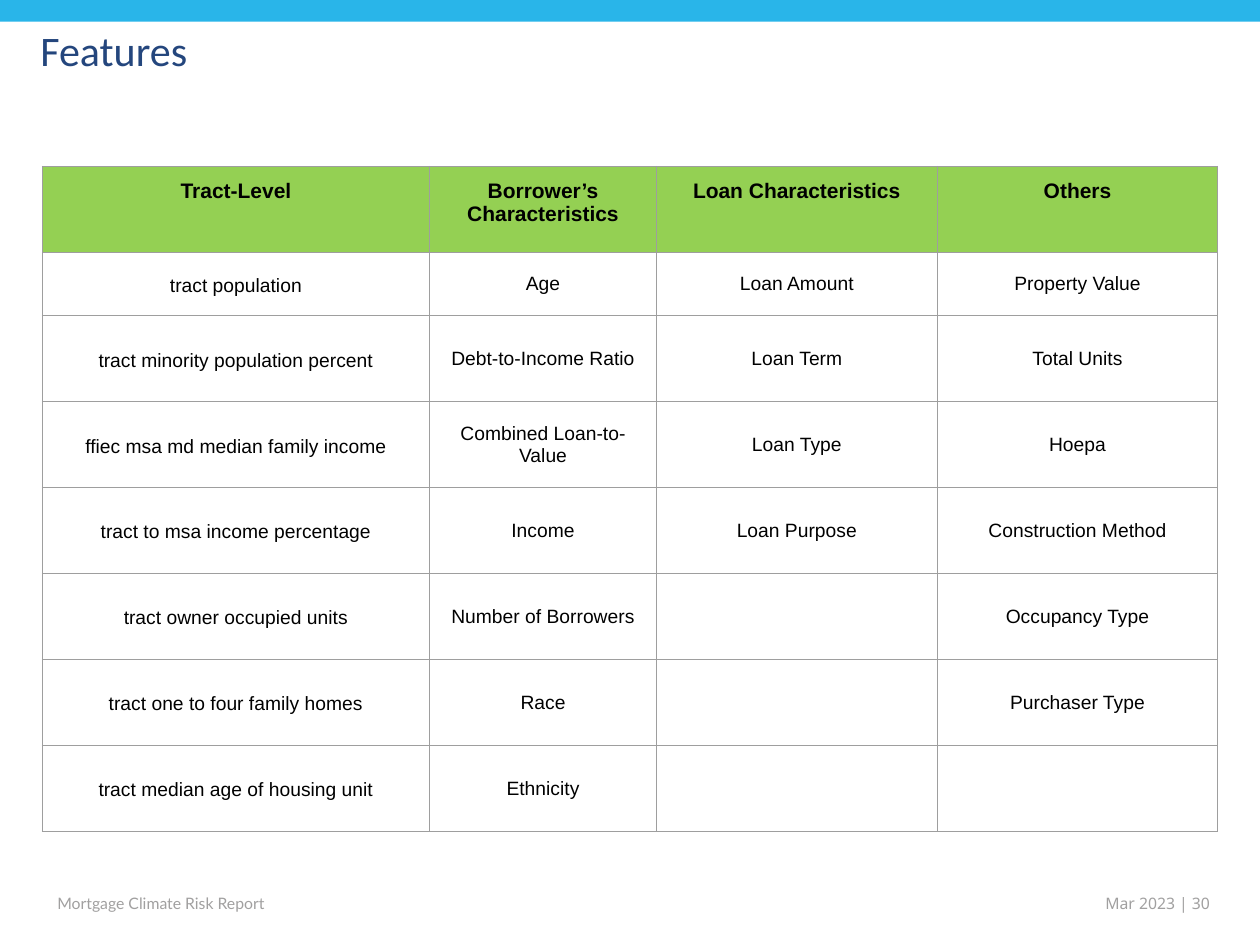
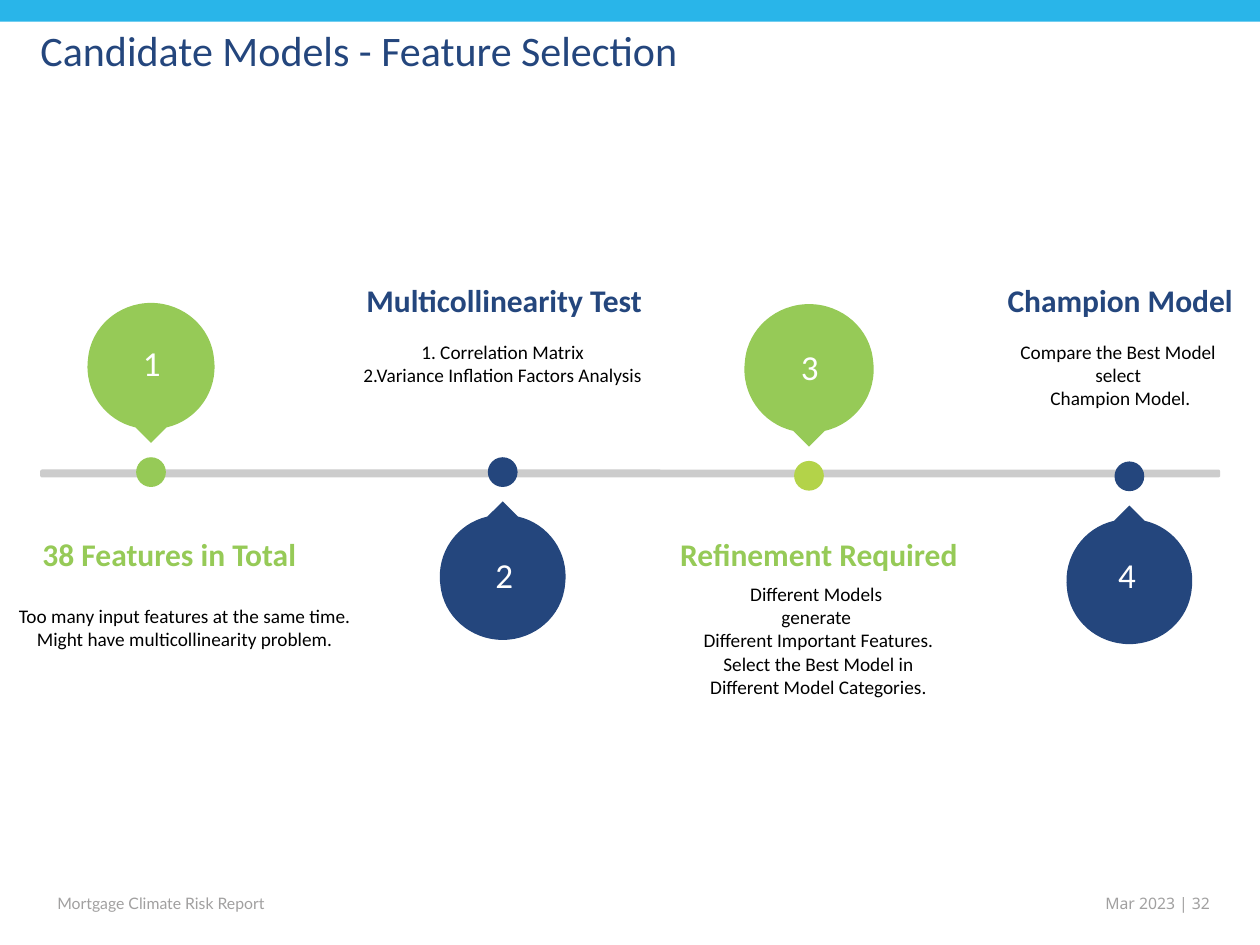
from dataclasses import dataclass

from lxml import etree
from pptx import Presentation
from pptx.dml.color import RGBColor
from pptx.enum.shapes import MSO_SHAPE
from pptx.enum.text import MSO_ANCHOR, PP_ALIGN
from pptx.oxml.ns import qn
from pptx.util import Pt

CENTER, LEFT = PP_ALIGN.CENTER, PP_ALIGN.LEFT
TOP, MIDDLE = MSO_ANCHOR.TOP, MSO_ANCHOR.MIDDLE
RECTANGLE, ROUNDED, ELLIPSE = MSO_SHAPE.RECTANGLE, MSO_SHAPE.ROUNDED_RECTANGLE, MSO_SHAPE.OVAL

SLIDE_WIDTH, SLIDE_HEIGHT = 720, 540
SKY, NAVY, GREEN, LIME = "29B5E9", "24467D", "96CA57", "B3D349"
HEADER_GREEN, GREY, RAIL_GREY, BORDER_GREY = "94D053", "A1A0A0", "CCCCCC", "9E9E9E"
BLACK, WHITE = "000000", "FFFFFF"
INSET = 7.2

FEATURE_COLUMNS = {
    "Tract-Level": [
        "tract population", "tract minority population percent",
        "ffiec msa md median family income", "tract to msa income percentage",
        "tract owner occupied units", "tract one to four family homes",
        "tract median age of housing unit"],
    "Borrower’s Characteristics": [
        "Age", "Debt-to-Income Ratio", "Combined Loan-to-Value", "Income",
        "Number of Borrowers", "Race", "Ethnicity"],
    "Loan Characteristics": ["Loan Amount", "Loan Term", "Loan Type", "Loan Purpose"],
    "Others": [
        "Property Value", "Total Units", "Hoepa", "Construction Method",
        "Occupancy Type", "Purchaser Type"],
}
COLUMN_WIDTHS = [221.3, 129.7, 160.4, 160.4]
ROW_HEIGHTS = [49.15, 36.2] + [49.15] * 6

# Right half of a pin, as x and distance from the tip, in shares of its height:
# the notch, then two Bezier curves of three points each.
PIN_HALF = [(0.11, 0.11), (0.33, 0.16), (0.48, 0.37), (0.45, 0.6),
            (0.43, 0.83), (0.23, 1), (0, 1)]


@dataclass
class Step:
    """One timeline step; the boxes are left, top, width, height."""
    x: float
    dot_y: float
    pin_is_above: bool
    pin_height: float
    number_box: tuple
    color: str
    dot_color: str
    heading: str
    heading_box: tuple
    details: list
    details_box: tuple


STEPS = [
    Step(86.3, 269.8, True, 80, (44.6, 188.6, 84.2, 37.4), GREEN, GREEN,
         "38 Features in Total", (5, 310, 183.6, 13),
         ["Too many input features at the same time.", "Might have multicollinearity problem."],
         (-8.2, 331.2, 227.5, 54.7)),
    Step(287.3, 269.8, False, 79.2, (249.2, 309.6, 77.8, 37.4), NAVY, NAVY,
         "Multicollinearity Test", (187.4, 164.9, 201.6, 13),
         ["1. Correlation Matrix", "2.Variance Inflation Factors Analysis"],
         (179.3, 185, 216, 45.4)),
    Step(462.3, 271.9, True, 81.4, (427, 190.8, 71.3, 37.4), GREEN, LIME,
         "Refinement Required", (367.2, 310, 201.6, 13),
         ["Different Models ", "generate ", "Different Important Features.",
          "Select the Best Model in Different Model Categories."],
         (387.8, 331, 159.8, 69.8)),
    Step(645.4, 272.2, False, 79.2, (608.4, 309.6, 71.3, 37.4), NAVY, NAVY,
         "Champion Model", (552.3, 164.9, 175.7, 13),
         ["Compare the Best Model ", "select ", "Champion Model."],
         (557.8, 191.5, 164.9, 45.4)),
]


def rgb(value):
    return RGBColor.from_string(value)


def paint(shape, color):
    shape.shadow.inherit = False
    shape.fill.solid()
    shape.fill.fore_color.rgb = rgb(color)
    shape.line.fill.background()


def add_filled_shape(slide, kind, box, color):
    shape = slide.shapes.add_shape(kind, *map(Pt, box))
    paint(shape, color)
    return shape


def set_insets(holder, left, top, right, bottom):
    holder.margin_left, holder.margin_top = Pt(left), Pt(top)
    holder.margin_right, holder.margin_bottom = Pt(right), Pt(bottom)


def format_text(text_frame, size, font_name, color, bold=False, alignment=CENTER):
    for paragraph in text_frame.paragraphs:
        paragraph.alignment = alignment
        for run in paragraph.runs:
            run.font.size, run.font.name, run.font.bold = Pt(size), font_name, bold
            run.font.color.rgb = rgb(color)


def add_text(slide, box, lines, size, font_name, color, bold=False,
             alignment=CENTER, anchor=MIDDLE, insets=(INSET,) * 4):
    text_frame = slide.shapes.add_textbox(*map(Pt, box)).text_frame
    text_frame.word_wrap = True
    text_frame.vertical_anchor = anchor
    set_insets(text_frame, *insets)
    text_frame.text = "\n".join(lines)
    format_text(text_frame, size, font_name, color, bold, alignment)


def add_frame(presentation, title, page_number):
    """Add a slide with the top band, title and footers."""
    slide = presentation.slides.add_slide(presentation.slide_layouts[6])
    add_filled_shape(slide, RECTANGLE, (0, 0, SLIDE_WIDTH, 12.4), SKY)
    flush = {"alignment": LEFT, "anchor": TOP, "insets": (0, 0.9, 0, 0)}
    add_text(slide, (23.1, 13, 597, 30), [title], 24, "Calibri", NAVY, **flush)
    flush["insets"] = (0.9, 0.9, 0, 0)
    add_text(slide, (31.9, 509.9, 139.7, 11.5), ["Mortgage Climate Risk Report"],
             9, "Lato", GREY, **flush)
    add_text(slide, (630.7, 509.9, 72.7, 11.5), [f"Mar 2023 | {page_number}"],
             9, "Noto Sans", GREY, **flush)
    return slide


def set_borders(cell):
    properties = cell._tc.get_or_add_tcPr()
    for position, side in enumerate(("a:lnL", "a:lnR", "a:lnT", "a:lnB")):
        line = etree.Element(qn(side), w=str(Pt(0.75)))
        fill = etree.SubElement(line, qn("a:solidFill"))
        etree.SubElement(fill, qn("a:srgbClr"), val=BORDER_GREY)
        properties.insert(position, line)


def fill_cell(cell, text, is_header, line_spacing):
    set_insets(cell, *(INSET,) * 4)
    if is_header:
        cell.fill.solid()
        cell.fill.fore_color.rgb = rgb(HEADER_GREEN)
    else:
        cell.fill.background()
    set_borders(cell)
    if not text:
        return
    cell.vertical_anchor = TOP if is_header else MIDDLE
    cell.text_frame.text = text
    cell.text_frame.paragraphs[0].line_spacing = line_spacing
    format_text(cell.text_frame, 12 if is_header else 11, "Arial", BLACK, is_header)


def add_feature_table(slide, left, top):
    table = slide.shapes.add_table(
        len(ROW_HEIGHTS), len(COLUMN_WIDTHS), Pt(left), Pt(top),
        Pt(sum(COLUMN_WIDTHS)), Pt(sum(ROW_HEIGHTS))).table
    table.first_row = table.horz_banding = False
    for row, height in zip(table.rows, ROW_HEIGHTS):
        row.height = Pt(height)
    for column, (heading, features) in enumerate(FEATURE_COLUMNS.items()):
        table.columns[column].width = Pt(COLUMN_WIDTHS[column])
        texts = [heading] + features
        for row in range(len(ROW_HEIGHTS)):
            text = texts[row] if row < len(texts) else ""
            spacing = 1.15 if column == 0 and row > 0 else 1.0
            fill_cell(table.cell(row, column), text, row == 0, spacing)


def curve_segments(shape):
    """Turn every three line segments after the first into one Bezier curve."""
    lines = list(shape._element.iter(qn("a:lnTo")))[1:]
    for start in range(0, len(lines), 3):
        curve = etree.Element(qn("a:cubicBezTo"))
        lines[start].addprevious(curve)
        for line in lines[start:start + 3]:
            curve.append(line[0])
            line.getparent().remove(line)


def add_pin(slide, x, tip_y, direction, height, color):
    """Add a round pin; direction is 1 for a tip below the circle, -1 above."""
    shares = PIN_HALF + [(-across, along) for across, along in PIN_HALF[-2::-1]]
    builder = slide.shapes.build_freeform(Pt(x), Pt(tip_y))
    builder.add_line_segments(
        [(Pt(x + height * across), Pt(tip_y - direction * height * along))
         for across, along in shares], close=True)
    pin = builder.convert_to_shape()
    curve_segments(pin)
    paint(pin, color)


def add_step(slide, number, step):
    dot_size, tip_gap = 17, 16.7
    direction = 1 if step.pin_is_above else -1
    add_pin(slide, step.x, step.dot_y - direction * tip_gap, direction,
            step.pin_height, step.color)
    add_text(slide, step.number_box, [str(number)], 20, "Calibri", WHITE)
    add_text(slide, step.heading_box, [step.heading], 18, "Calibri", step.color, bold=True)
    add_text(slide, step.details_box, step.details, 11, "Calibri", BLACK)
    add_filled_shape(slide, ELLIPSE, (step.x - dot_size / 2, step.dot_y - dot_size / 2,
                                      dot_size, dot_size), step.dot_color)


def add_timeline(slide):
    rail = add_filled_shape(slide, ROUNDED, (23, 268.3, 674.3, 4.5), RAIL_GREY)
    rail.adjustments[0] = 0.25
    for number, step in enumerate(STEPS, start=1):
        add_step(slide, number, step)


def main():
    presentation = Presentation()
    presentation.slide_width, presentation.slide_height = Pt(SLIDE_WIDTH), Pt(SLIDE_HEIGHT)
    add_feature_table(add_frame(presentation, "Features", 30), 24.2, 95.1)
    add_timeline(add_frame(presentation, "Candidate Models - Feature Selection", 32))
    presentation.save("out.pptx")


if __name__ == "__main__":
    main()
